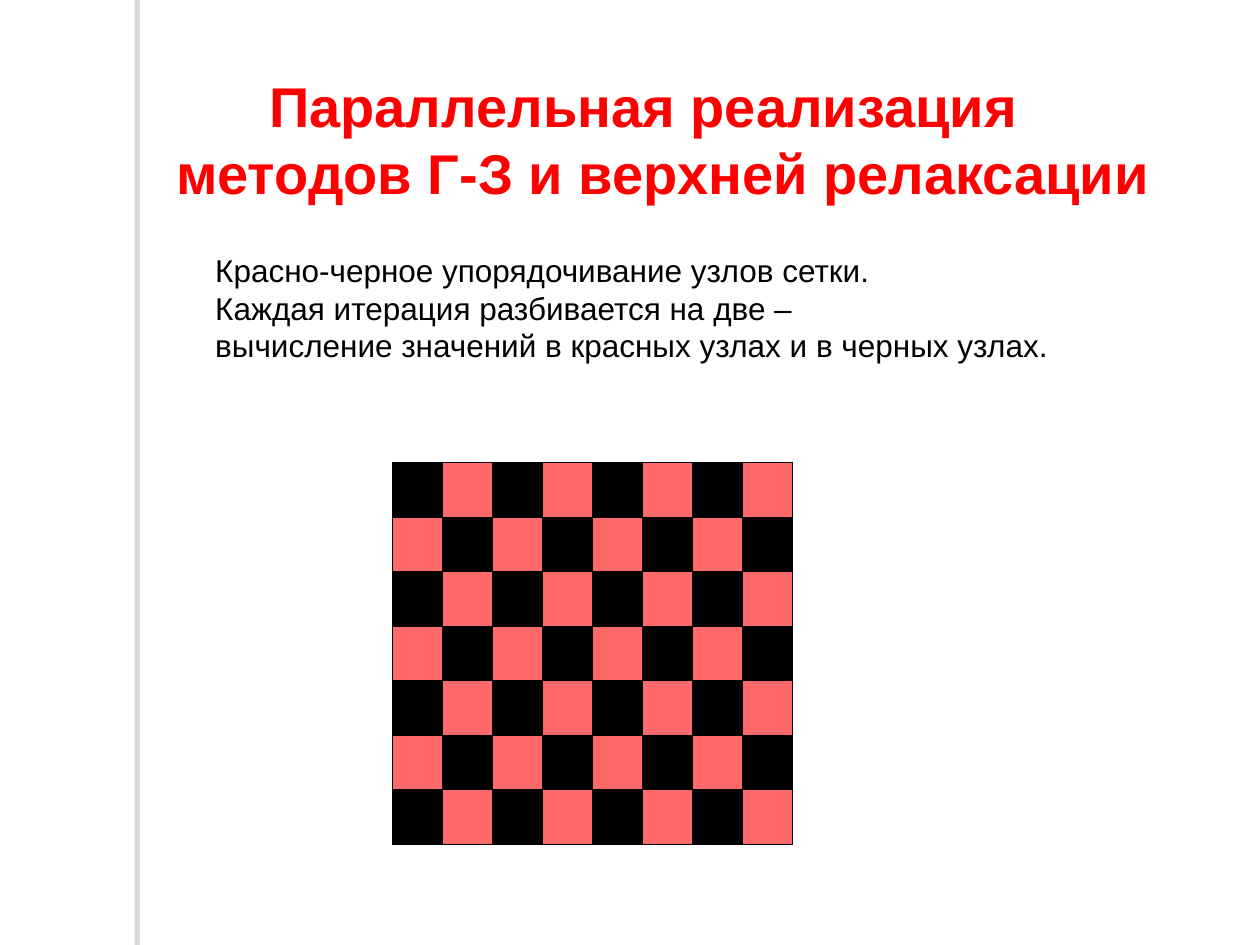
from pptx import Presentation
from pptx.dml.color import RGBColor
from pptx.enum.shapes import MSO_SHAPE
from pptx.oxml import parse_xml
from pptx.oxml.ns import nsdecls
from pptx.util import Cm, Pt

RECT = MSO_SHAPE.RECTANGLE
BLACK, RED = "000000", "FF6969"
ROWS, COLS = 7, 8
CELL_W, CELL_H = 1.01, 1.1


def color(code):
    return RGBColor.from_string(code)


def add_text(left, top, width, height, text, size, code, bold):
    box = slide.shapes.add_textbox(Cm(left), Cm(top), Cm(width), Cm(height))
    frame = box.text_frame
    frame.word_wrap = True
    frame.text = text
    for para in frame.paragraphs:
        for run in para.runs:
            run.font.name = "Arial"
            run.font.size = Pt(size)
            run.font.bold = bold
            run.font.color.rgb = color(code)
    return frame


deck = Presentation()
deck.slide_width, deck.slide_height = Cm(25.4), Cm(19.05)
slide = deck.slides.add_slide(deck.slide_layouts[6])

# White side bar with a pale shadow on its left
bar = slide.shapes.add_shape(RECT, Cm(2.82), 0, Cm(0.2), deck.slide_height)
bar.fill.solid()
bar.fill.fore_color.rgb = color("FFFFFF")
bar.line.fill.background()
bar.element.spPr.append(parse_xml(
    f'<a:effectLst {nsdecls("a")}>'
    f'<a:outerShdw blurRad="0" dist="{Pt(3)}" dir="10800000" rotWithShape="0">'
    '<a:srgbClr val="706B5F"><a:alpha val="25000"/></a:srgbClr>'
    '</a:outerShdw></a:effectLst>'))

# Checkered grid of nodes
frame = slide.shapes.add_table(ROWS, COLS, Cm(7.9), Cm(9.32),
                               Cm(COLS * CELL_W), Cm(ROWS * CELL_H))
grid = frame.table
for col in grid.columns:
    col.width = Cm(CELL_W)
for row in grid.rows:
    row.height = Cm(CELL_H)
for r in range(ROWS):
    for c in range(COLS):
        cell = grid.cell(r, c)
        props = cell._tc.get_or_add_tcPr()
        for side in "LRTB":
            props.append(parse_xml(
                f'<a:ln{side} {nsdecls("a")} w="{Pt(0.45)}"><a:solidFill>'
                f'<a:srgbClr val="{BLACK}"/></a:solidFill></a:ln{side}>'))
        cell.fill.solid()
        cell.fill.fore_color.rgb = color(RED if (r + c) % 2 else BLACK)

# Title with an indented first line
title = add_text(3.3, 1.32, 20.8, 2.97,
                 "Параллельная реализация\vметодов Г-З и верхней релаксации",
                 32, "FF0000", True)
title.paragraphs[0]._p.get_or_add_pPr().set("indent", str(Cm(1.88)))

# Explanation
add_text(4.09, 4.93, 18.8, 2.54,
         "Красно-черное упорядочивание узлов сетки.\n"
         "Каждая итерация разбивается на две –\n"
         "вычисление значений в красных узлах и в черных узлах.",
         18, BLACK, False)

deck.save("out.pptx")
